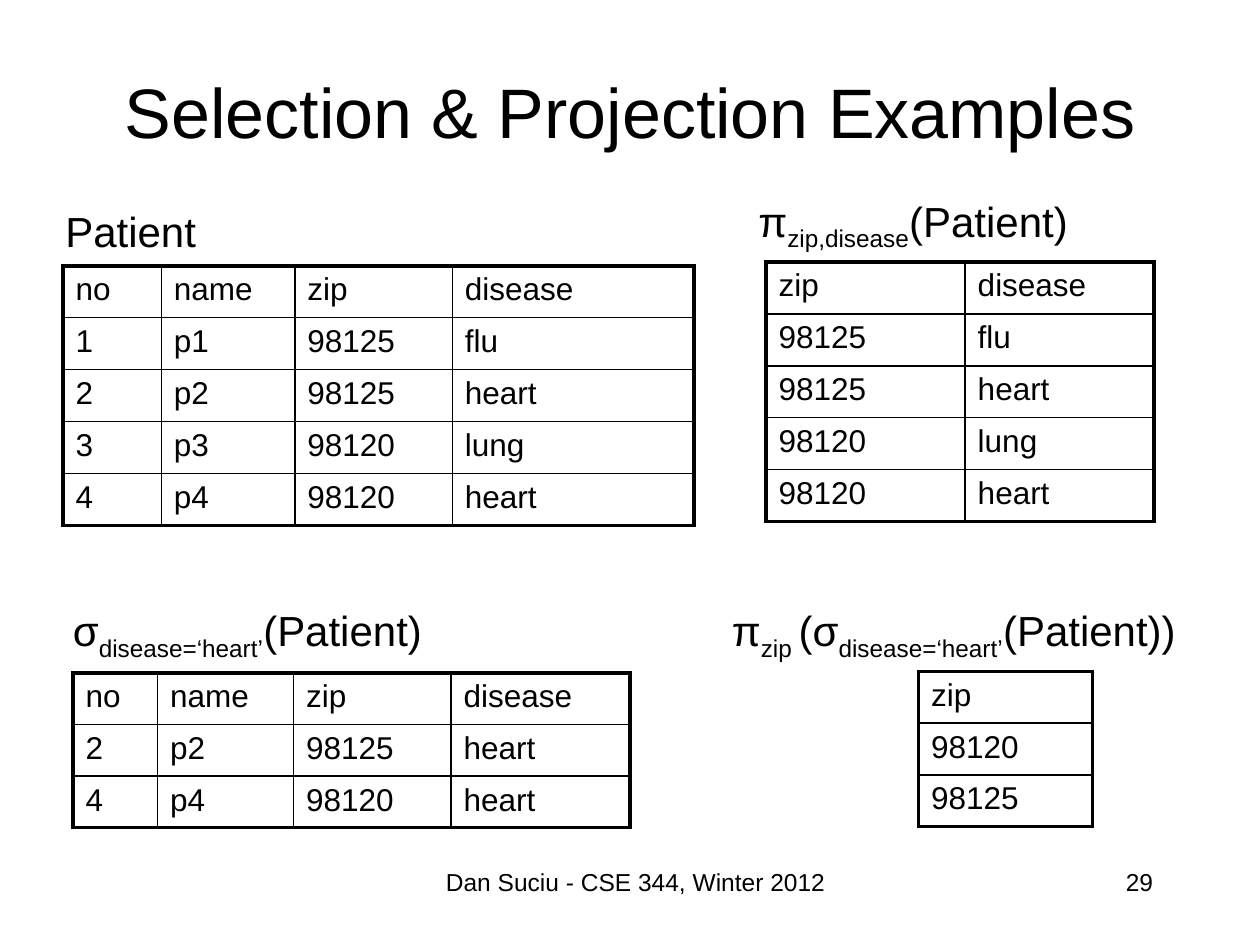
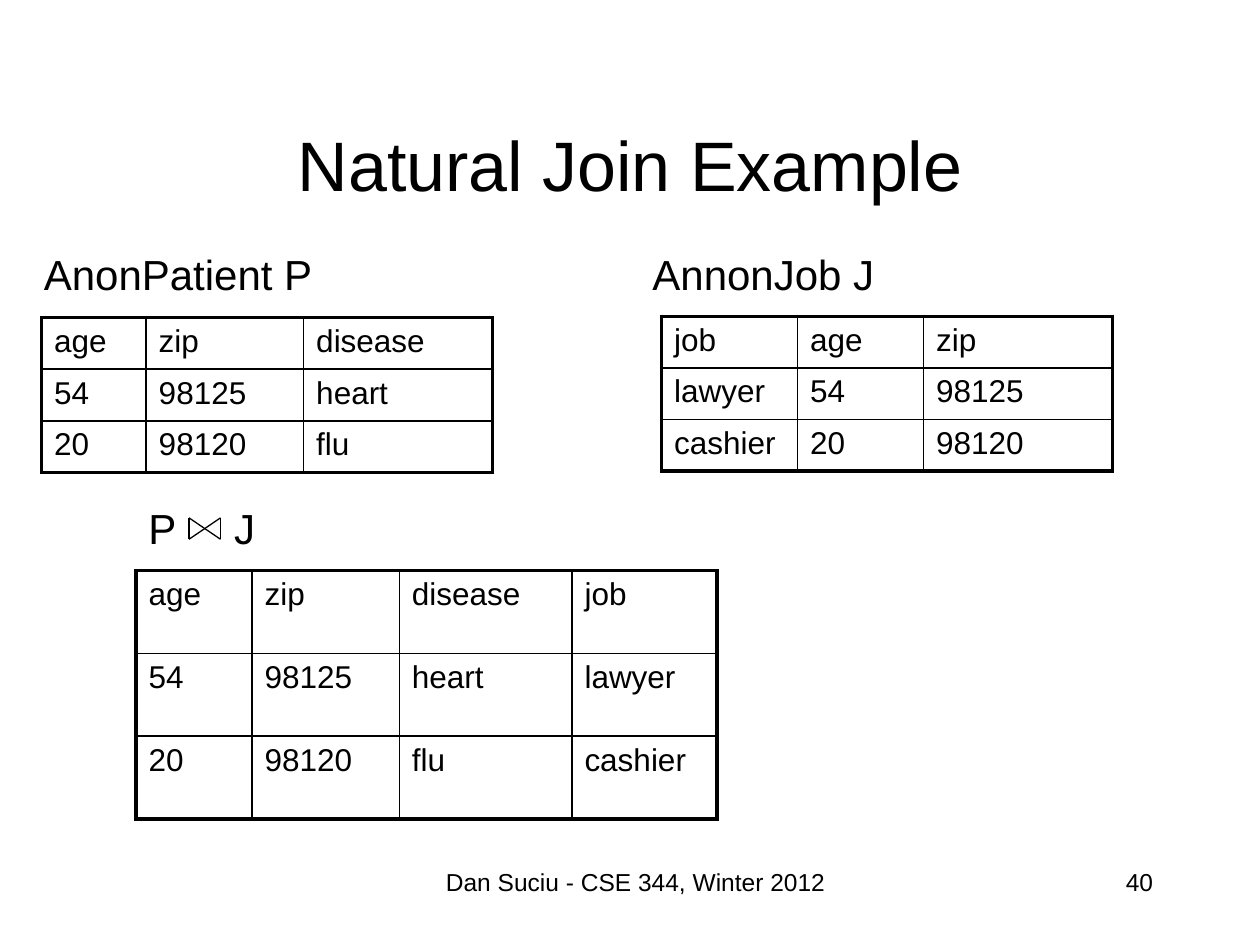
from lxml.etree import SubElement
from pptx import Presentation
from pptx.dml.color import RGBColor
from pptx.enum.text import MSO_ANCHOR as ANCHOR, PP_ALIGN as ALIGN
from pptx.oxml.ns import qn
from pptx.util import Inches, Pt

COLORS = {"ink": "000000", "paper": "FFFFFF"}
FONT = "Arial"
TITLE_SIZE, LABEL_SIZE, CELL_SIZE, FOOTER_SIZE = 40, 24, 18, 14
OUTER_LINE, INNER_LINE, JOIN_LINE = 2.25, 1, 0.75
FOOTER = "Dan Suciu - CSE 344, Winter 2012"
SUBSCRIPT = "-25000"


def style_font(p, size):
    """Set the shared typeface and ink at the given size."""
    p.font.name, p.font.size = FONT, Pt(size)
    p.font.color.rgb = RGBColor.from_string(COLORS["ink"])


def add_text(slide, box, parts, size, align=ALIGN.LEFT, anchor=ANCHOR.TOP):
    """Write one paragraph in a box; every second part is a subscript."""
    tf = slide.shapes.add_textbox(*map(Inches, box)).text_frame
    tf.word_wrap, tf.vertical_anchor = True, anchor
    p = tf.paragraphs[0]
    p.alignment = align
    style_font(p, size)
    for i, part in enumerate(parts):
        r = p.add_run()
        r.text = part
        if i % 2:
            r._r.get_or_add_rPr().set("baseline", SUBSCRIPT)
    return p


def add_label(slide, left, top, width, *parts):
    """Name the relation shown in the table below."""
    return add_text(slide, (left, top, width, 0.5), parts, LABEL_SIZE)


def add_border(cell, side, width):
    """Draw one edge of a cell."""
    ln = SubElement(cell._tc.get_or_add_tcPr(), qn(f"a:ln{side}"), w=str(Pt(width)))
    fill = SubElement(ln, qn("a:solidFill"))
    SubElement(fill, qn("a:srgbClr"), val=COLORS["ink"])


def add_relation(slide, left, top, widths, height, rows):
    """Draw a relation as a table with a heavy frame and thin inner rules."""
    rows = [row.split() for row in rows]
    last_row, last_col = len(rows) - 1, len(widths) - 1
    table = slide.shapes.add_table(len(rows), len(widths), Inches(left), Inches(top),
                                   Inches(sum(widths)), Inches(height)).table
    table.first_row = table.horz_banding = False
    for col, width in zip(table.columns, widths):
        col.width = Inches(width)
    for i, row in enumerate(rows):
        for j, value in enumerate(row):
            cell = table.cell(i, j)
            cell.text = value
            style_font(cell.text_frame.paragraphs[0], CELL_SIZE)
            edges = {"L": j == 0, "R": j == last_col, "T": i == 0, "B": i == last_row}
            for side, outer in edges.items():
                add_border(cell, side, OUTER_LINE if outer else INNER_LINE)
            cell.fill.background()


def add_join_sign(slide, left, top, width, height):
    """Draw the natural join bowtie from four grouped lines."""
    right, bottom = left + width, top + height
    group = slide.shapes.add_group_shape()
    for x1, x2 in ((left, left), (right, right), (left, right), (right, left)):
        line = group.shapes.add_connector(1, *map(Inches, (x1, top, x2, bottom)))
        line.line.width = Pt(JOIN_LINE)
        line.line.color.rgb = RGBColor.from_string(COLORS["ink"])
        SubElement(line._element.spPr, qn("a:effectLst"))


def add_base_slide(prs, title, title_top, number):
    """Add a slide with background, title, footer and page number."""
    slide = prs.slides.add_slide(prs.slide_layouts[6])
    slide.background.fill.solid()
    slide.background.fill.fore_color.rgb = RGBColor.from_string(COLORS["paper"])
    add_text(slide, (0.75, title_top, 8.5, 1.25), [title], TITLE_SIZE,
             ALIGN.CENTER, ANCHOR.MIDDLE)
    add_text(slide, (3.17, 6.83, 3.75, 0.5), [FOOTER], FOOTER_SIZE, ALIGN.CENTER)
    add_text(slide, (7.17, 6.83, 2.08, 0.5), [str(number)], FOOTER_SIZE, ALIGN.RIGHT)
    return slide


def build_selection_slide(prs):
    """Show selection and projection applied to the Patient relation."""
    slide = add_base_slide(prs, "Selection & Projection Examples", 0.25, 29)
    add_label(slide, 0.42, 1.58, 1.4, "Patient")
    add_relation(slide, 0.5, 2.11, (0.78, 1.06, 1.25, 1.92), 2.06,
                 ("no name zip disease", "1 p1 98125 flu", "2 p2 98125 heart",
                  "3 p3 98120 lung", "4 p4 98120 heart"))
    add_label(slide, 5.92, 1.5, 2.9, "π", "zip,disease", "(Patient)")
    add_relation(slide, 6.08, 2.08, (1.58, 1.5), 2.06,
                 ("zip disease", "98125 flu", "98125 heart", "98120 lung", "98120 heart"))
    add_label(slide, 0.48, 4.75, 3.3, "σ", "disease=‘heart’", "(Patient)")
    add_relation(slide, 0.58, 5.34, (0.67, 1.08, 1.25, 1.42), 1.23,
                 ("no name zip disease", "2 p2 98125 heart", "4 p4 98120 heart"))
    add_label(slide, 5.71, 4.75, 4.1, "π", "zip ", "(σ", "disease=‘heart’", "(Patient))")
    add_relation(slide, 7.29, 5.33, (1.38,), 1.23, ("zip", "98120", "98125"))


def build_join_slide(prs):
    """Show the natural join of two relations."""
    slide = add_base_slide(prs, "Natural Join Example", 0.67, 40)
    add_label(slide, 0.25, 1.92, 2.5, "AnonPatient P")
    add_relation(slide, 0.33, 2.52, (0.83, 1.25, 1.5), 1.23,
                 ("age zip disease", "54 98125 heart", "20 98120 flu"))
    add_label(slide, 5.08, 1.92, 2.1, "AnnonJob J")
    add_relation(slide, 5.25, 2.51, (1.08, 1, 1.5), 1.23,
                 ("job age zip", "lawyer 54 98125", "cashier 20 98120"))
    p = add_label(slide, 1.08, 3.94, 1.2, "P\tJ")
    tabs = SubElement(p._p.get_or_add_pPr(), qn("a:tabLst"))
    SubElement(tabs, qn("a:tab"), pos=str(Inches(0.68)), algn="l")
    tabs.getparent().insert(0, tabs)
    add_join_sign(slide, 1.5, 4.11, 0.25, 0.17)
    add_relation(slide, 1.08, 4.53, (0.92, 1.17, 1.37, 1.15), 1.97,
                 ("age zip disease job", "54 98125 heart lawyer", "20 98120 flu cashier"))


def main():
    """Build and save the deck."""
    prs = Presentation()
    prs.slide_width, prs.slide_height = Inches(10), Inches(7.5)
    build_selection_slide(prs)
    build_join_slide(prs)
    prs.save("out.pptx")


if __name__ == "__main__":
    main()
